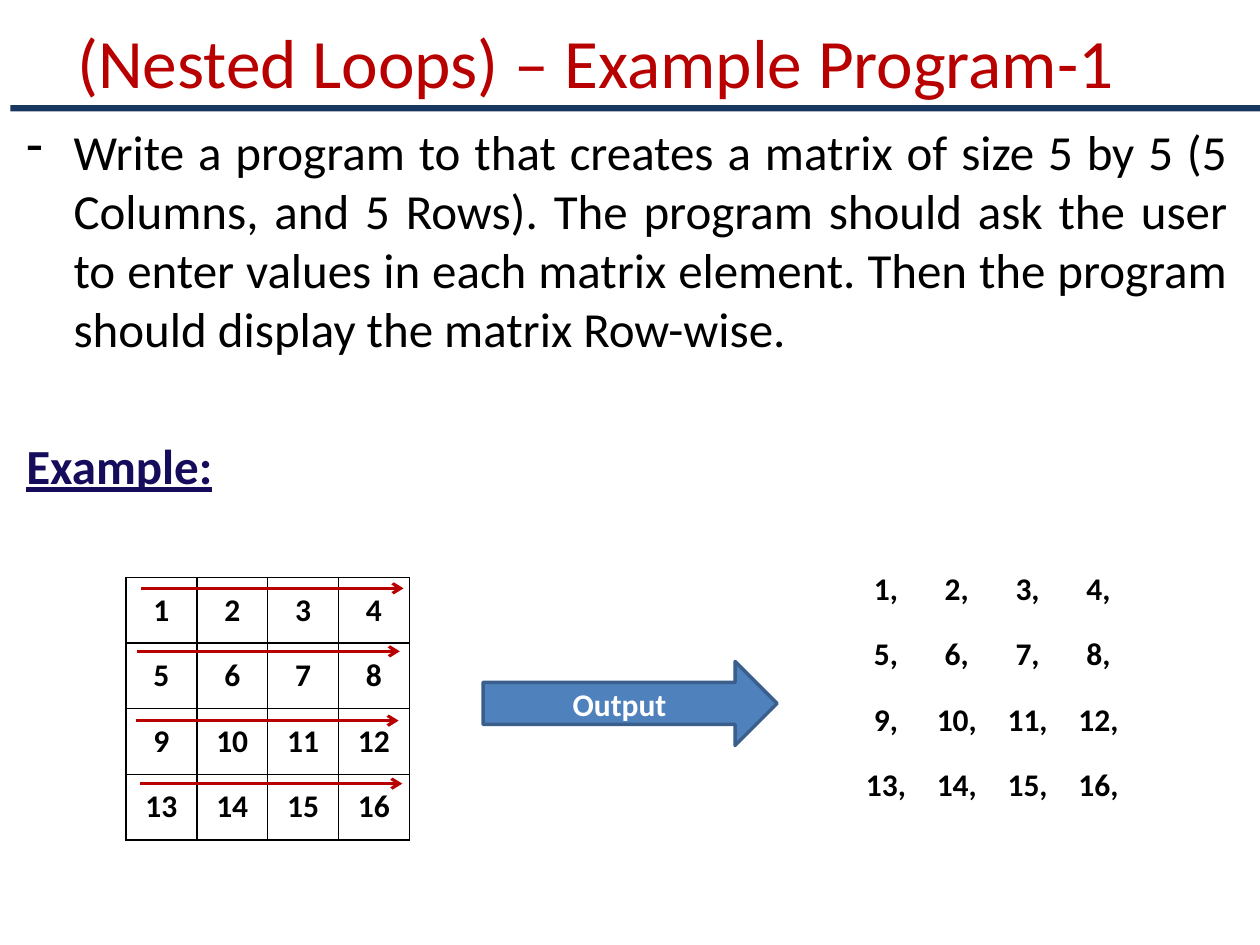
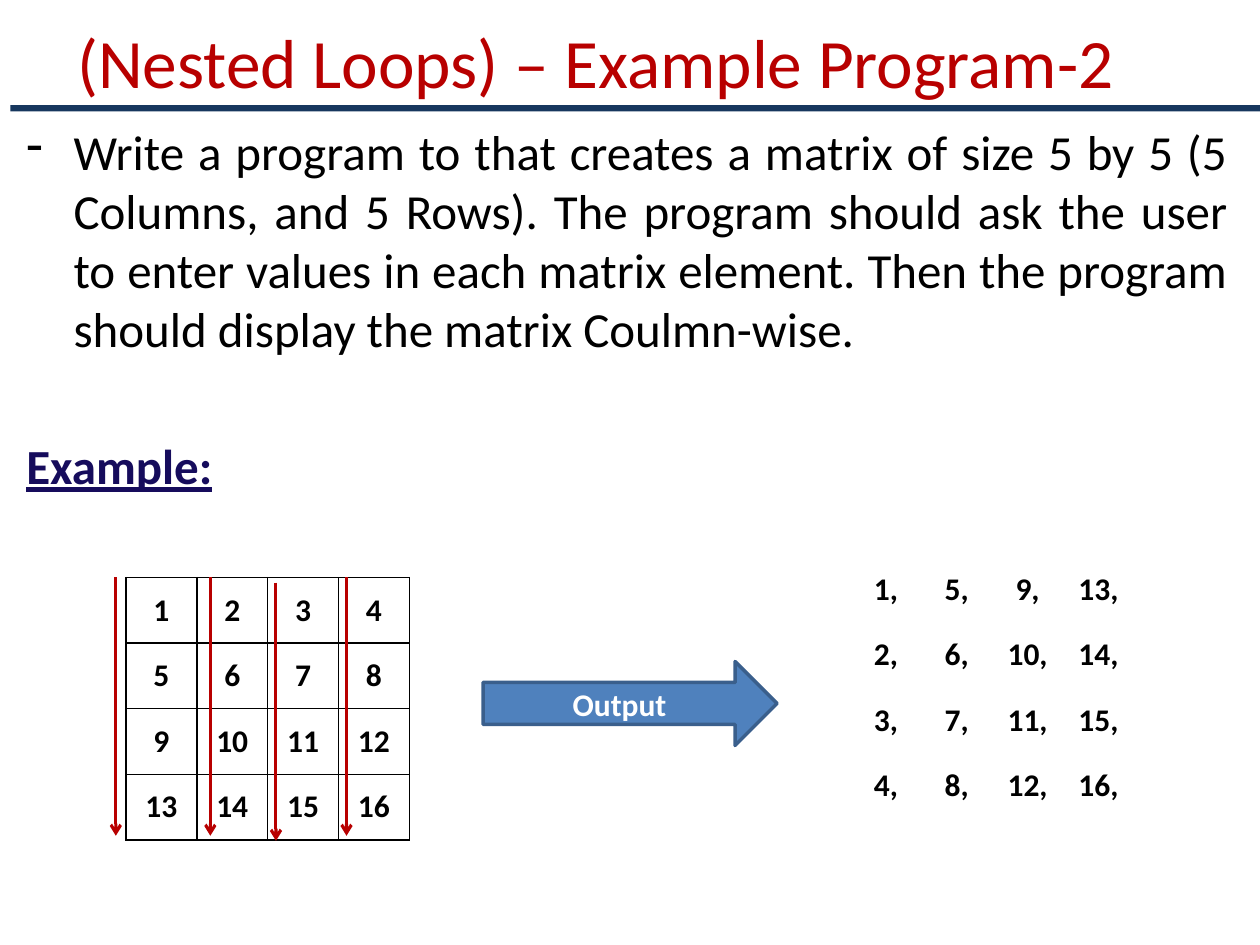
from pptx import Presentation
from pptx.dml.color import RGBColor
from pptx.enum.shapes import MSO_CONNECTOR as Conn, MSO_SHAPE as Shape
from pptx.enum.text import MSO_ANCHOR as Anchor, PP_ALIGN as Align
from pptx.oxml import parse_xml
from pptx.oxml.ns import nsdecls, qn
from pptx.util import Pt

FONT = "Calibri"
RED, NAVY, INDIGO, BLACK = "B80000", "17375E", "160C5C", "000000"
BLUE, EDGE, WHITE = "4F81BD", "3A5F8C", "FFFFFF"
PLAIN = "{2D5ABB26-0587-4C30-8999-92F81FD0307C}"
SIZE = 4
COL, ROW = 40.5, 37.5
TASK = ("Write a program to that creates a matrix of size 5 by 5 "
        "(5 Columns, and 5 Rows). The program should ask the user to enter "
        "values in each matrix element. Then the program should display "
        "the matrix {}-wise.")
MATRIX = [[SIZE * r + c + 1 for c in range(SIZE)] for r in range(SIZE)]

# Arrow starts, measured from the corner of the matrix
ACROSS = [(8.6, 6.2), (6.5, 42.2), (5.8, 81.8), (7.9, 117.8)]
DOWN = [(-5.8, 0), (48.2, 0), (85.7, 2.9), (126, 0)]


def hue(code):
    return RGBColor.from_string(code)


def points(*nums):
    return [Pt(n) for n in nums]


def style(para, size, color, align, bold=False):
    para.alignment = align
    font = para.font
    font.name, font.size, font.bold = FONT, Pt(size), bold
    font.color.rgb = hue(color)


def text_box(slide, box):
    frame = slide.shapes.add_textbox(*points(*box)).text_frame
    frame.word_wrap = True
    return frame


def add_title(slide, box, text):
    frame = text_box(slide, box)
    frame.vertical_anchor = Anchor.MIDDLE
    para = frame.paragraphs[0]
    para.text = text
    style(para, 39.6, RED, Align.CENTER)


def add_rule(slide, box):
    rule = slide.shapes.add_shape(Shape.RECTANGLE, *points(*box))
    rule.shadow.inherit = False
    rule.fill.solid()
    rule.fill.fore_color.rgb = hue(NAVY)
    rule.line.fill.background()


def add_body(slide, box, text):
    frame = text_box(slide, box)
    # Task with a dash as its bullet
    task = frame.paragraphs[0]
    task.text = text
    style(task, 28, BLACK, Align.JUSTIFY)
    props = task._p.get_or_add_pPr()
    props.set("marL", str(Pt(27)))
    props.set("indent", str(Pt(-27)))
    dash = parse_xml(f'<a:buChar {nsdecls("a")} char="-"/>')
    props.insert_element_before(dash, "a:tabLst", "a:defRPr", "a:extLst")
    # Heading of the example
    head = frame.add_paragraph()
    head.text = "Example:"
    style(head, 28, INDIGO, Align.JUSTIFY, True)
    head.font.underline = True
    head.space_before = Pt(45)


def add_border(cell):
    props = cell._tc.get_or_add_tcPr()
    for side in "LRTB":
        props.append(parse_xml(
            f'<a:ln{side} {nsdecls("a")} w="{Pt(1)}"><a:solidFill>'
            f'<a:srgbClr val="{BLACK}"/></a:solidFill></a:ln{side}>'))


def add_grid(slide, left, top, rows, mark="", lined=False):
    box = points(left, top, SIZE * COL, SIZE * ROW)
    table = slide.shapes.add_table(SIZE, SIZE, *box).table
    table.first_row = table.horz_banding = False
    table._tbl.tblPr.find(qn("a:tableStyleId")).text = PLAIN
    for r, row in enumerate(rows):
        for c, value in enumerate(row):
            cell = table.cell(r, c)
            cell.text = f"{value}{mark}"
            cell.vertical_anchor = Anchor.MIDDLE
            style(cell.text_frame.paragraphs[0], 18, BLACK, Align.CENTER, True)
            if lined:
                add_border(cell)
            cell.fill.background()


def add_output(slide, box):
    arrow = slide.shapes.add_shape(Shape.RIGHT_ARROW, *points(*box))
    arrow.shadow.inherit = False
    arrow.fill.solid()
    arrow.fill.fore_color.rgb = hue(BLUE)
    arrow.line.color.rgb = hue(EDGE)
    arrow.line.width = Pt(2)
    frame = arrow.text_frame
    frame.vertical_anchor = Anchor.MIDDLE
    para = frame.paragraphs[0]
    para.text = "Output"
    style(para, 18, WHITE, Align.CENTER, True)


def add_paths(slide, left, top, starts, run, drop):
    for dx, dy in starts:
        x, y = left + dx, top + dy
        line = slide.shapes.add_connector(
            Conn.STRAIGHT, *points(x, y, x + run, y + drop))
        line.line.color.rgb = hue(RED)
        line.line.width = Pt(1.75)
        props = line._element.spPr
        props.find(qn("a:ln")).append(
            parse_xml(f'<a:tailEnd {nsdecls("a")} type="arrow"/>'))
        props.append(parse_xml(f'<a:effectLst {nsdecls("a")}/>'))


def add_example(slide, left, top, result, starts, run, drop):
    add_grid(slide, left, top, MATRIX, lined=True)
    add_output(slide, (left + 204, top + 48, 168, 48))
    add_grid(slide, left + 414, top - 12, result, mark=",")
    add_paths(slide, left, top, starts, run, drop)


def add_slide(deck, number, order, *example):
    slide = deck.slides.add_slide(deck.slide_layouts[6])
    add_title(slide, (12, 8, 648, 54),
              f" (Nested Loops) – Example Program-{number}")
    add_body(slide, (8, 66, 700.5, 456), TASK.format(order))
    add_rule(slide, (6, 60, 714, 3.6))
    add_example(slide, 72, 330, *example)


def main():
    deck = Presentation()
    deck.slide_width, deck.slide_height = points(720, 540)
    add_slide(deck, 1, "Row", MATRIX, ACROSS, 150, 0)
    add_slide(deck, 2, "Coulmn", zip(*MATRIX), DOWN, 0, 147.6)
    deck.save("out.pptx")


if __name__ == "__main__":
    main()
